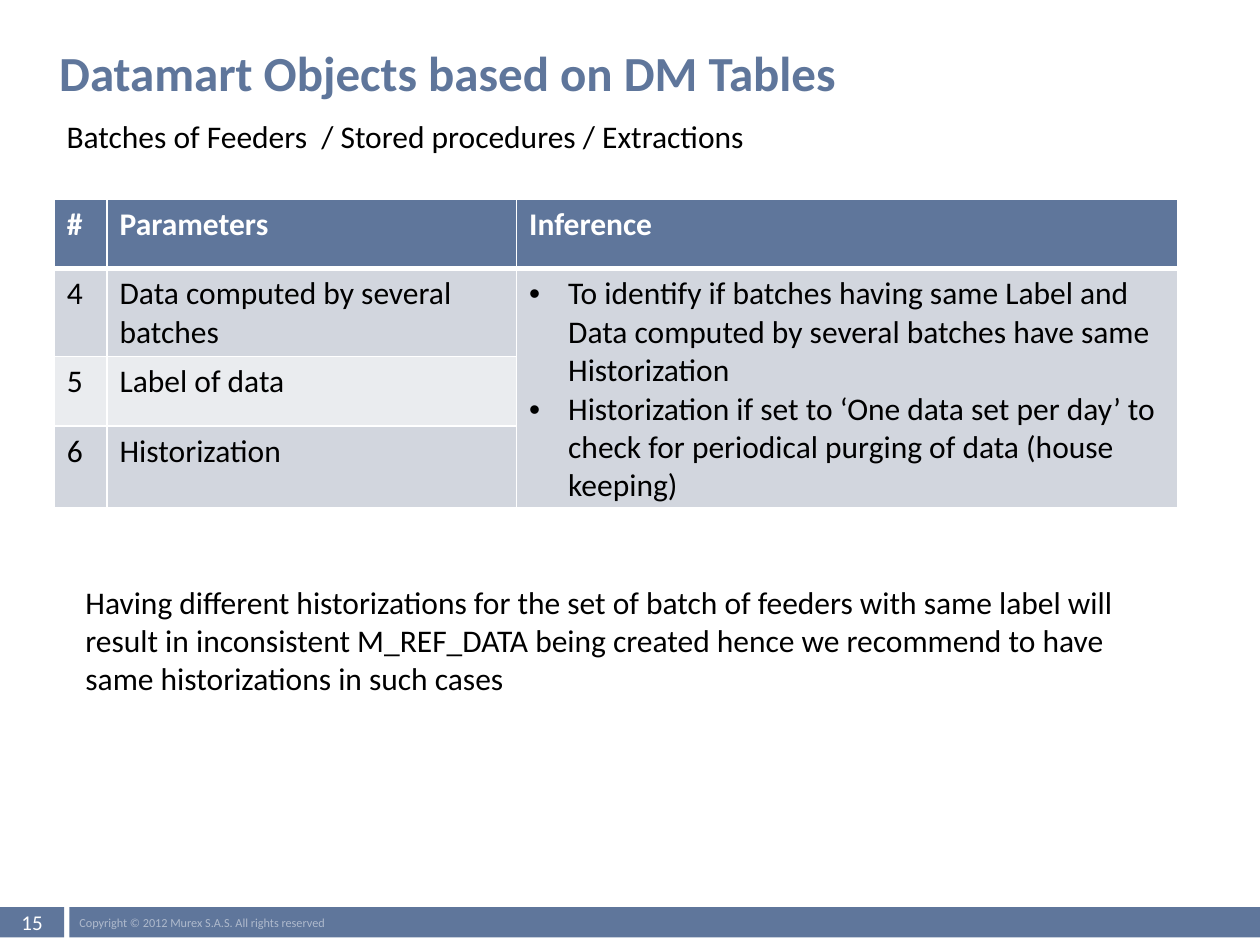
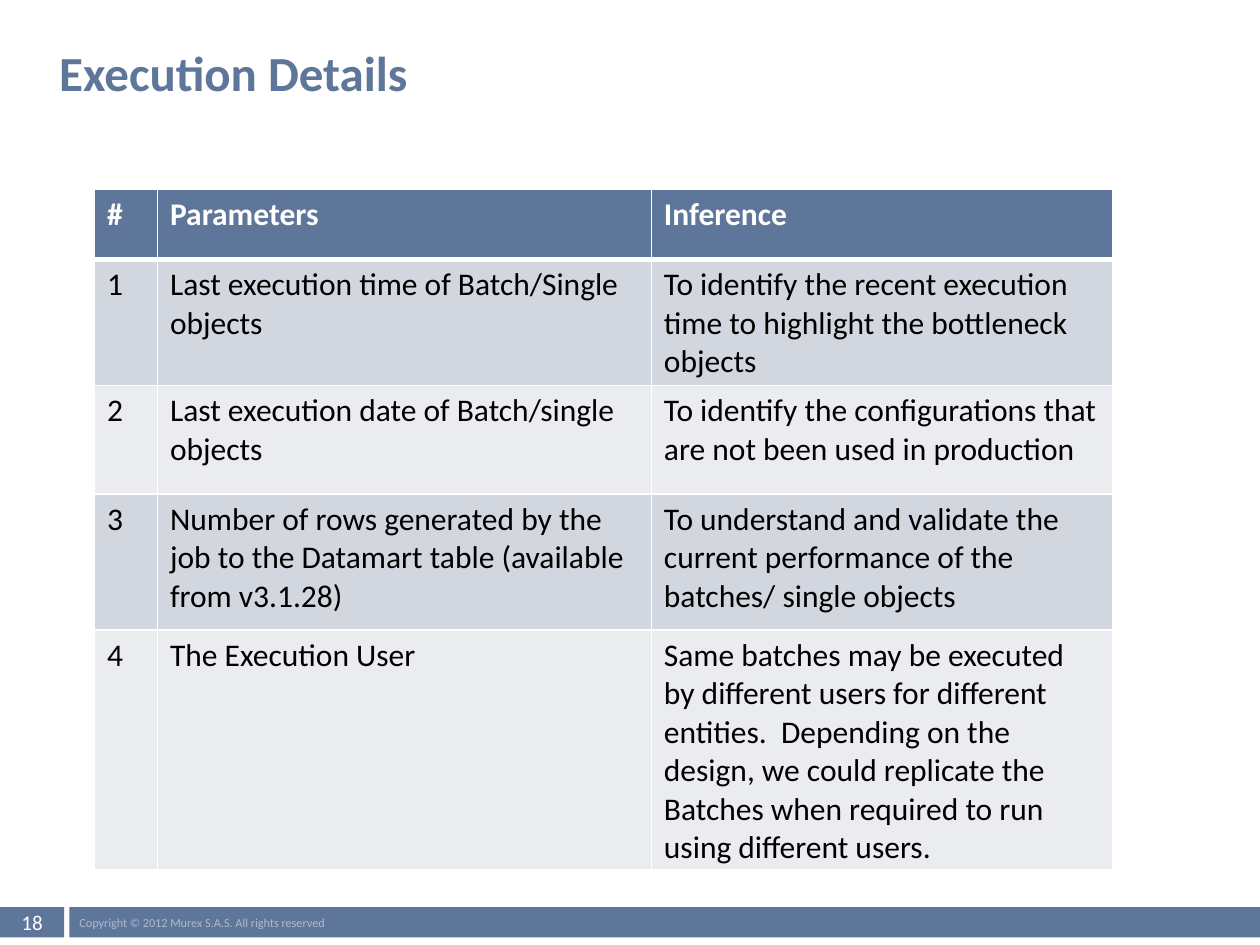
import pptx
import pptx.util
import pptx.dml.color
import pptx.enum.shapes
import pptx.enum.text
import pptx.oxml
import pptx.oxml.ns

Inches, Pt = pptx.util.Inches, pptx.util.Pt
TEXT = pptx.enum.text
FONT = "Calibri"
COLORS = {"blue": "5F769B", "pale": "AFBACD", "white": "FFFFFF", "black": "000000",
          "odd": "D2D6DE", "even": "EAECEF"}
WIDTH, HEIGHT = 10, 7.5
BAND_TOP, BAND_HEIGHT, NUMBER_WIDTH, BAND_LEFT = 7.2, 0.24, 0.51, 0.55
COPYRIGHT = "Copyright © 2012 Murex S.A.S. All rights reserved"
HEADINGS = ["#", "Parameters", "Inference"]

SLIDES = [
    {
        "number": 15,
        "title": "Datamart Objects based on DM Tables",
        "title_width": 9.4,
        "notes": [
            ((0.43, 0.88, 7.58, 0.4), "Batches of Feeders  / Stored procedures / Extractions"),
            ((0.58, 4.58, 8.67, 1.01),
             "Having different historizations for the set of batch of feeders with same label "
             "will result in inconsistent M_REF_DATA being created hence we recommend to have "
             "same historizations in such cases"),
        ],
        "table_at": (0.43, 1.58, 8.92, 2.45),
        "columns": [0.42, 3.25, 5.25],
        "row_heights": [0.55, 0.69, 0.55, 0.44],
        "rows": [
            ["4", "Data computed by several batches", [
                "To identify if batches having same Label and Data computed by several "
                "batches have same Historization",
                "Historization if set to ‘One data set per day’ to check for periodical "
                "purging of data (house keeping)"]],
            ["5", "Label of data"],
            ["6", "Historization"],
        ],
    },
    {
        "number": 18,
        "title": "Execution Details",
        "title_width": 7.01,
        "notes": [],
        "table_at": (0.75, 1.5, 8.08, 5.39),
        "columns": [0.5, 3.92, 3.66],
        "row_heights": [0.56, 0.86, 0.86, 1.08, 1.08],
        "rows": [
            ["1", "Last execution time of Batch/Single objects",
             "To identify the recent execution time to highlight the bottleneck objects"],
            ["2", "Last execution date of Batch/single objects",
             "To identify the configurations that are not been used in production"],
            ["3", "Number of rows generated by the job to the Datamart table "
             "(available from v3.1.28)",
             "To understand and validate the current performance of the batches/ single objects"],
            ["4", "The Execution User",
             "Same batches may be executed by different users for different entities.  "
             "Depending on the design, we could replicate the Batches when required to run "
             "using different users."],
        ],
    },
]


def rgb(name):
    return pptx.dml.color.RGBColor.from_string(COLORS[name])


def box(at):
    return [Inches(v) for v in at]


def style(tf, size, color, bold=False, align=TEXT.PP_ALIGN.LEFT):
    for p in tf.paragraphs:
        p.alignment = align
        for r in p.runs:
            r.font.name, r.font.size, r.font.bold = FONT, Pt(size), bold
            r.font.color.rgb = rgb(color)


def add_text(slide, at, text, size, color, bold=False):
    tf = slide.shapes.add_textbox(*box(at)).text_frame
    tf.word_wrap = True
    tf.text = text
    style(tf, size, color, bold)
    return tf


def add_band(slide, left, width, text, size, color, align):
    s = slide.shapes.add_shape(pptx.enum.shapes.MSO_SHAPE.RECTANGLE,
                               *box((left, BAND_TOP, width, BAND_HEIGHT)))
    s.shadow.inherit = False
    s.fill.solid()
    s.fill.fore_color.rgb = rgb("blue")
    s.line.fill.background()
    tf = s.text_frame
    tf.word_wrap = False
    tf.vertical_anchor = TEXT.MSO_ANCHOR.MIDDLE
    tf.margin_left = tf.margin_right = Inches(0.08)
    tf.margin_top = tf.margin_bottom = 0
    tf.text = text
    style(tf, size, color, align=align)


def add_borders(cell, row):
    tcPr = cell._tc.get_or_add_tcPr()
    widths = {"L": 1, "R": 1, "T": 3 if row == 1 else 1, "B": 3 if row == 0 else 1}
    for side, width in widths.items():
        tcPr.append(pptx.oxml.parse_xml(
            f'<a:ln{side} {pptx.oxml.ns.nsdecls("a")} w="{Pt(width)}"><a:solidFill>'
            f'<a:srgbClr val="{COLORS["white"]}"/></a:solidFill></a:ln{side}>'))


def add_bullet(p):
    pPr = p._p.get_or_add_pPr()
    pPr.set("marL", str(Inches(0.31)))
    pPr.set("indent", str(-Inches(0.31)))
    for tag in (f'buFont {pptx.oxml.ns.nsdecls("a")} typeface="Arial"',
                f'buChar {pptx.oxml.ns.nsdecls("a")} char="•"'):
        pPr.append(pptx.oxml.parse_xml(f"<a:{tag}/>"))


def fill_cell(cell, row, content):
    add_borders(cell, row)
    cell.fill.solid()
    cell.fill.fore_color.rgb = rgb("blue" if row == 0 else "odd" if row % 2 else "even")
    tf = cell.text_frame
    if isinstance(content, list):
        tf.text = "\n".join(content)
        cell.vertical_anchor = TEXT.MSO_ANCHOR.MIDDLE
        for p in tf.paragraphs:
            add_bullet(p)
    else:
        tf.text = content
    style(tf, 18, "black" if row else "white", bold=row == 0)


def add_parameter_table(slide, data):
    rows = [HEADINGS] + data["rows"]
    s = slide.shapes.add_table(len(rows), len(HEADINGS), *box(data["table_at"]))
    table = s.table
    for column, width in zip(table.columns, data["columns"]):
        column.width = Inches(width)
    for row, height in zip(table.rows, data["row_heights"]):
        row.height = Inches(height)
    s.height = Inches(data["table_at"][3])
    for i, row in enumerate(rows):
        for j in range(len(HEADINGS)):
            fill_cell(table.cell(i, j), i, row[j] if j < len(row) else "")
    if len(rows[-1]) < len(HEADINGS):
        table.cell(1, 2).merge(table.cell(len(rows) - 1, 2))


def build_slide(prs, data):
    slide = prs.slides.add_slide(prs.slide_layouts[6])
    add_band(slide, BAND_LEFT, WIDTH - BAND_LEFT, COPYRIGHT, 7, "pale", TEXT.PP_ALIGN.LEFT)
    add_band(slide, 0, NUMBER_WIDTH, str(data["number"]), 12, "white", TEXT.PP_ALIGN.CENTER)
    tf = add_text(slide, (0.43, 0.34, data["title_width"], 0.58), data["title"], 28, "blue", True)
    tf.margin_left = tf.margin_right = Inches(0.04)
    tf.margin_top = tf.margin_bottom = 0
    add_parameter_table(slide, data)
    for at, text in data["notes"]:
        tf = add_text(slide, at, text, 18, "black")
        tf.auto_size = TEXT.MSO_AUTO_SIZE.SHAPE_TO_FIT_TEXT


def main():
    """Build the two datamart review slides."""
    prs = pptx.Presentation()
    prs.slide_width, prs.slide_height = Inches(WIDTH), Inches(HEIGHT)
    for data in SLIDES:
        build_slide(prs, data)
    prs.save("out.pptx")


if __name__ == "__main__":
    main()
